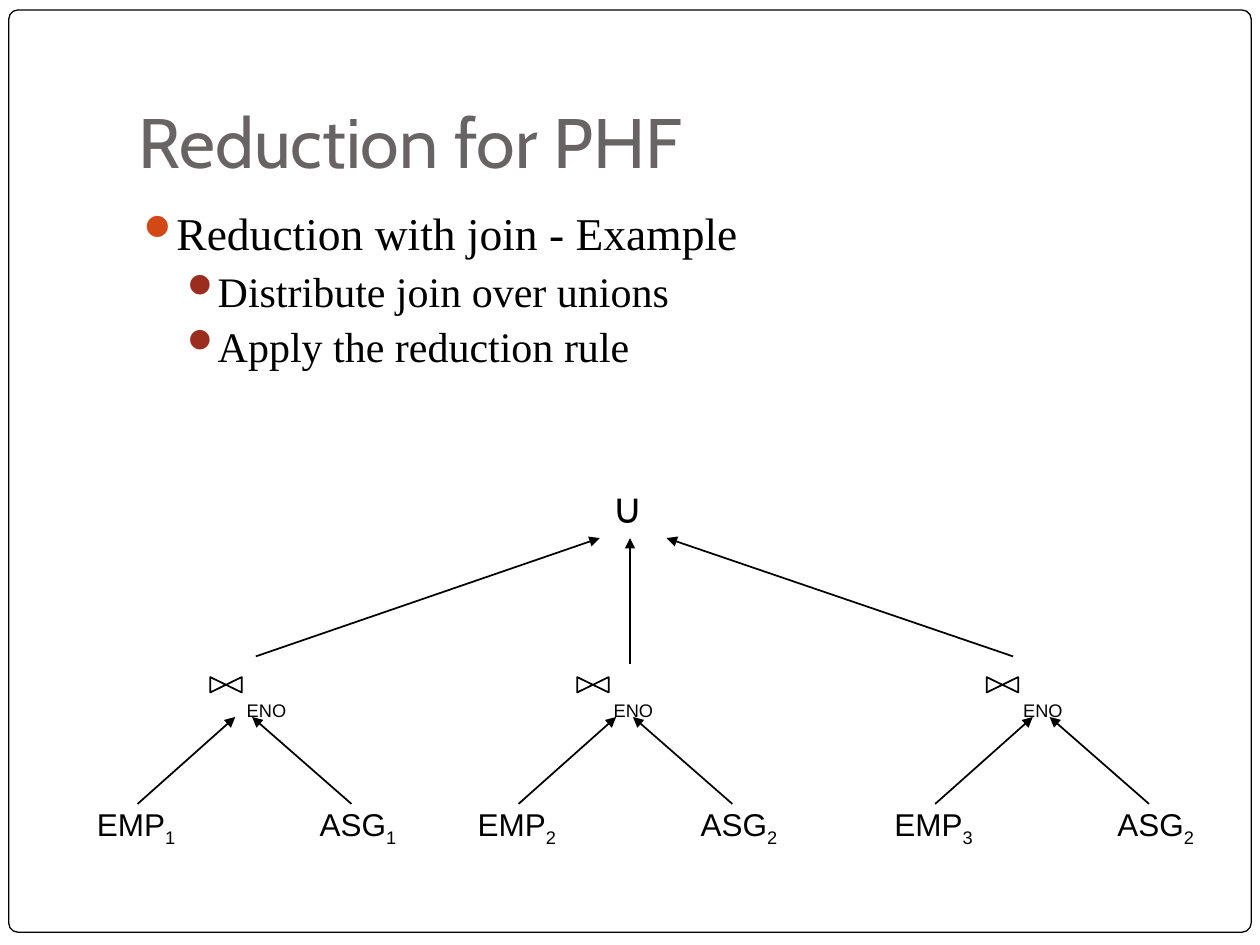
from dataclasses import dataclass
from typing import Any

import lxml.etree
import pptx
import pptx.dml.color
import pptx.enum.shapes
import pptx.enum.text
import pptx.oxml.ns
import pptx.util

Pt = pptx.util.Pt
RGBColor = pptx.dml.color.RGBColor
Shape = pptx.enum.shapes.MSO_SHAPE
Anchor = pptx.enum.text.MSO_ANCHOR
qn = pptx.oxml.ns.qn

BLACK = RGBColor(0x00, 0x00, 0x00)
WHITE = RGBColor(0xFF, 0xFF, 0xFF)
GRAY = RGBColor(0x69, 0x64, 0x64)
ORANGE = RGBColor(0xD3, 0x48, 0x17)
RED = RGBColor(0x9B, 0x2D, 0x1F)

MARGINS = {"margin_left": Pt(7.2), "margin_right": Pt(7.2),
           "margin_top": Pt(3.6), "margin_bottom": Pt(3.6)}
TITLE_FONT = {"name": "Cabin", "size": Pt(40)}
LABEL_FONT = {"name": "Arial", "size": Pt(18)}
UNION_FONT = {"name": "Open Sans", "size": Pt(24)}


@dataclass(frozen=True)
class Bullet:
    text: str
    size: float
    level: int
    left: float
    hanging: float
    before: float
    color: RGBColor


@dataclass(frozen=True)
class JoinTree:
    left: float
    join_left: float
    employee: str
    assignment: str


@dataclass(frozen=True)
class Arrow:
    start: tuple[float, float]
    end: tuple[float, float]


BULLETS = [
    Bullet("Reduction with join - Example", 26, 0, 21.6, 21.6, 0, ORANGE),
    Bullet("Distribute join over unions", 24, 1, 43.2, 18, 3, RED),
    Bullet("Apply the reduction rule", 24, 1, 43.2, 18, 3, RED),
]
TREES = [
    JoinTree(48.24, 133.92, "1", "1"),
    JoinTree(265.9, 343.6, "2", "2"),
    JoinTree(504, 577.6, "3", "2"),
]
UNION_ARROWS = [
    Arrow((146.2, 375.1), (342.7, 307.5)),
    Arrow((360, 379.4), (360, 307.5)),
    Arrow((578.9, 375.1), (380.9, 307.5)),
]


def apply_format(target: Any, values: dict[str, Any]) -> None:
    for name, value in values.items():
        setattr(target, name, value)


def add_span(para: Any, text: str, font: dict[str, Any],
             color: RGBColor = BLACK, subscript: bool = False) -> None:
    span = para.add_run()
    span.text = text
    apply_format(span.font, font)
    span.font.color.rgb = color
    if subscript:
        span.font._element.set("baseline", "-25000")


def add_box(page: Any, left: float, top: float, width: float, height: float,
            wrap: bool = False) -> Any:
    box = page.shapes.add_textbox(Pt(left), Pt(top), Pt(width), Pt(height))
    apply_format(box.text_frame, MARGINS | {"word_wrap": wrap})
    return box.text_frame


def add_outline(page: Any, kind: Any, left: float, top: float, width: float,
                height: float, line_width: float) -> Any:
    shape = page.shapes.add_shape(kind, Pt(left), Pt(top), Pt(width), Pt(height))
    shape.shadow.inherit = False
    shape.line.color.rgb = BLACK
    shape.line.width = Pt(line_width)
    return shape


def add_frame(page: Any) -> None:
    frame = add_outline(page, Shape.ROUNDED_RECTANGLE, 5, 5.7, 710, 527, 0.75)
    frame.adjustments[0] = 0.01
    frame.fill.solid()
    frame.fill.fore_color.rgb = WHITE
    page.shapes._spTree.insert(2, frame._element)


def add_title(page: Any) -> None:
    title = page.shapes.title
    apply_format(title, {"left": Pt(72), "top": Pt(21.6),
                         "width": Pt(612), "height": Pt(90)})
    apply_format(title.text_frame, MARGINS | {
        "margin_bottom": Pt(7.2), "vertical_anchor": Anchor.BOTTOM,
        "auto_size": pptx.enum.text.MSO_AUTO_SIZE.NONE, "word_wrap": True})
    para = title.text_frame.paragraphs[0]
    para.alignment = pptx.enum.text.PP_ALIGN.LEFT
    add_span(para, "Reduction for PHF", TITLE_FONT, GRAY)


def add_bullets(page: Any, bullets: list[Bullet]) -> None:
    frame = add_box(page, 72, 113.8, 612, 360, wrap=True)
    for index, bullet in enumerate(bullets):
        para = frame.add_paragraph() if index else frame.paragraphs[0]
        para.level = bullet.level
        para.space_before = Pt(bullet.before)
        properties = para._p.get_or_add_pPr()
        properties.set("marL", str(int(Pt(bullet.left))))
        properties.set("indent", str(-int(Pt(bullet.hanging))))
        color = lxml.etree.SubElement(properties, qn("a:buClr"))
        lxml.etree.SubElement(color, qn("a:srgbClr"), val=str(bullet.color))
        lxml.etree.SubElement(properties, qn("a:buChar"), char="⚫")
        add_span(para, bullet.text,
                 {"name": "Times New Roman", "size": Pt(bullet.size)})


def add_arrow(page: Any, arrow: Arrow) -> None:
    line = page.shapes.add_connector(
        pptx.enum.shapes.MSO_CONNECTOR.STRAIGHT,
        *(Pt(value) for value in arrow.start + arrow.end))
    line.line.color.rgb = BLACK
    line.line.width = Pt(1)
    lxml.etree.SubElement(line.line._get_or_add_ln(), qn("a:tailEnd"), type="triangle")
    lxml.etree.SubElement(line._element.spPr, qn("a:effectLst"))


def add_relation(page: Any, left: float, name: str, fragment: str) -> None:
    para = add_box(page, left, 456.5, 59.8, 28.8).paragraphs[0]
    add_span(para, name, LABEL_FONT)
    add_span(para, fragment, LABEL_FONT, subscript=True)


def add_tree(page: Any, tree: JoinTree) -> None:
    add_relation(page, tree.left, "EMP", tree.employee)
    add_relation(page, tree.left + 127.4, "ASG", tree.assignment)
    for start, end in ((30.4, 86.2), (152.6, 95.8)):
        add_arrow(page, Arrow((tree.left + start, 459.4), (tree.left + end, 409.7)))
    label = add_box(page, tree.join_left, 383.8, 40.3, 21.6)
    add_span(label.paragraphs[0], "ENO", LABEL_FONT, subscript=True)
    bowtie = add_outline(page, Shape.FLOWCHART_COLLATE,
                         tree.join_left - 9.2, 382.3, 8.8, 18, 1)
    bowtie.fill.background()
    bowtie.rotation = 270


def main() -> None:
    deck = pptx.Presentation()
    apply_format(deck, {"slide_width": Pt(720), "slide_height": Pt(540)})
    page = deck.slides.add_slide(deck.slide_layouts.get_by_name("Title Only"))
    add_frame(page)
    add_title(page)
    add_bullets(page, BULLETS)
    union = add_box(page, 342.7, 271.4, 33.8, 36)
    add_span(union.paragraphs[0], "∪", UNION_FONT)
    for arrow in UNION_ARROWS:
        add_arrow(page, arrow)
    for tree in TREES:
        add_tree(page, tree)
    deck.save("out.pptx")


if __name__ == "__main__":
    main()
